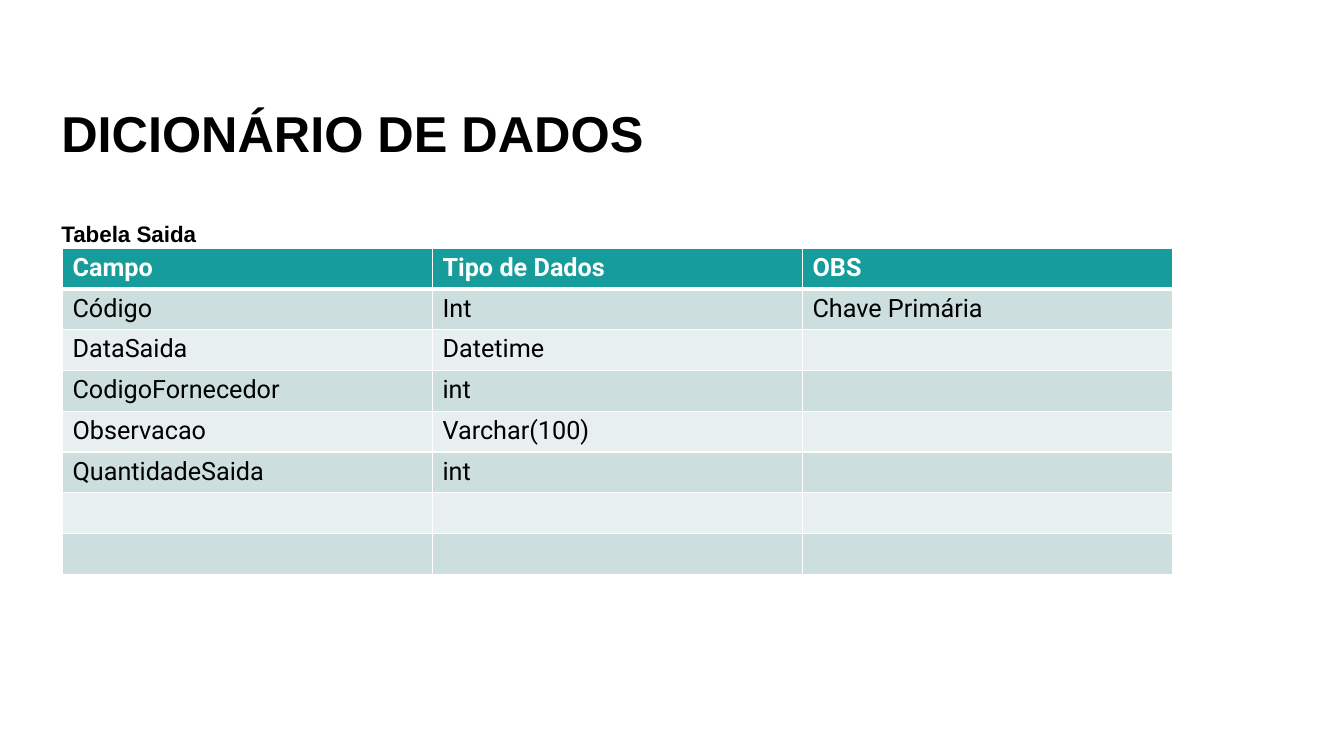
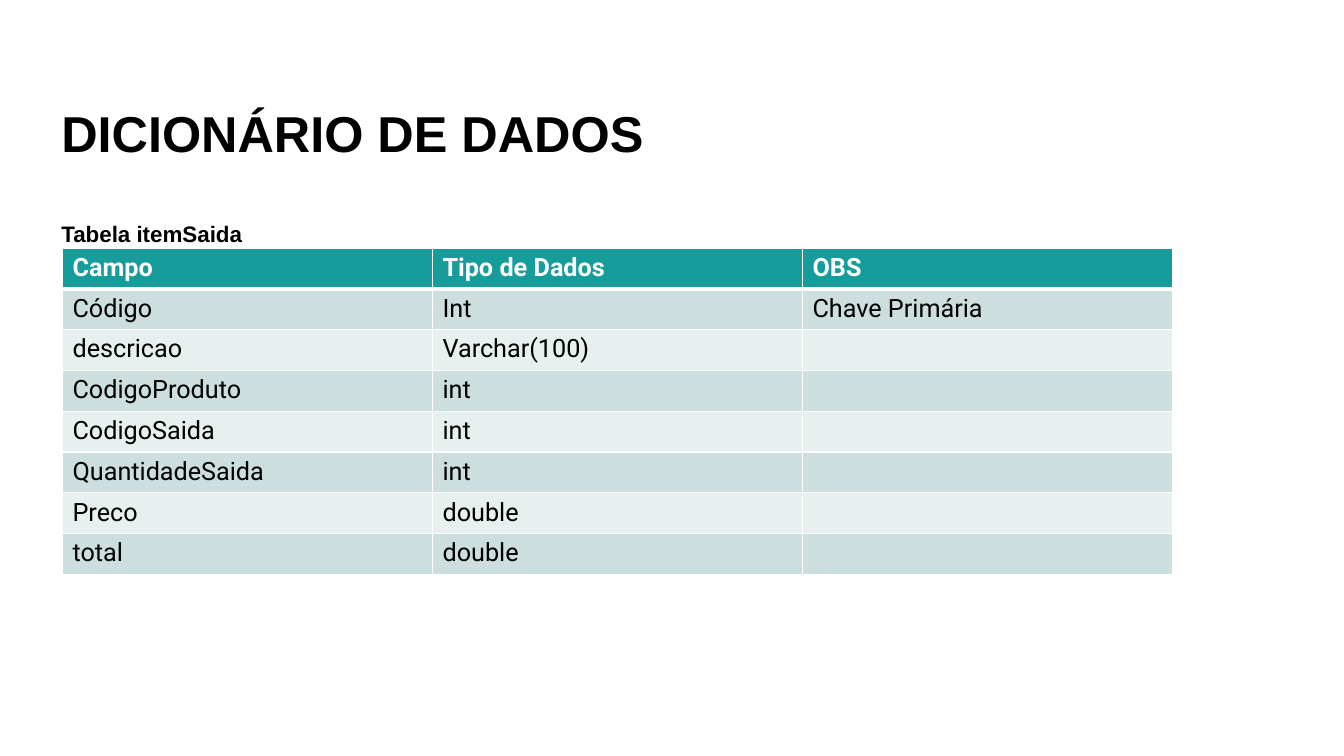
from dataclasses import dataclass

from lxml.etree import SubElement as Sub
from pptx import Presentation
from pptx.dml.color import RGBColor as Rgb
from pptx.enum.text import MSO_ANCHOR as Anchor
from pptx.oxml.ns import qn
from pptx.util import Inches, Pt


@dataclass(frozen=True)
class Theme:
    ink: str = "000000"
    paper: str = "FFFFFF"
    teal: str = "169C9A"
    bands: tuple = ("CCDEDE", "E8EFEF")
    head: str = "Arial"
    body: str = "Roboto"
    title: int = 36
    label: int = 16
    cell: int = 18
    thin: int = 1
    thick: int = 3


T = Theme()
WIDE, HIGH = 13.33, 7.5

# Regions: left, top, width, height in inches
TITLE = (0.51, 0, 11.5, 1.67)
LABEL = (0.51, 0.83, 11.5, 1.67)
GRID = (0.62, 2.46, 11.01, 3.24)

HEADS = ("Campo", "Tipo de Dados", "OBS")
KEY = ("Código", "Int", "Chave Primária")
COUNT = ("QuantidadeSaida", "int")
ROWS = 8

TABLES = {
    "Tabela Saida": (
        KEY,
        ("DataSaida", "Datetime"),
        ("CodigoFornecedor", "int"),
        ("Observacao", "Varchar(100)"),
        COUNT,
    ),
    "Tabela itemSaida": (
        KEY,
        ("descricao", "Varchar(100)"),
        ("CodigoProduto", "int"),
        ("CodigoSaida", "int"),
        COUNT,
        ("Preco", "double"),
        ("total", "double"),
    ),
}


def write(frame, text, *, size, font, color=T.ink, bold=False, line=None, before=None):
    """Put one formatted paragraph in a text frame."""
    para = frame.paragraphs[0]
    para.line_spacing = line
    para.space_before = before
    run = para.add_run()
    run.text = text
    run.font.name = font
    run.font.size = Pt(size)
    run.font.bold = bold
    run.font.color.rgb = Rgb.from_string(color)


def heading(slide, box, text, size):
    """Bold heading that rests on the bottom of its box."""
    frame = slide.shapes.add_textbox(*map(Inches, box)).text_frame
    frame.word_wrap = True
    frame.vertical_anchor = Anchor.BOTTOM
    write(frame, text, size=size, font=T.head, bold=True, line=0.9, before=Pt(25))


def border(cell, **sides):
    """Draw the cell's edges, each side given its width in points."""
    props = cell._tc.get_or_add_tcPr()
    for side, width in sides.items():
        edge = Sub(props, qn(f"a:ln{side}"), w=str(Pt(width)))
        fill = Sub(edge, qn("a:solidFill"))
        Sub(fill, qn("a:srgbClr"), val=T.paper)


def grid(slide, box, rows):
    """Banded table; rows are padded with blank cells to fill the box."""
    table = slide.shapes.add_table(ROWS, len(HEADS), *map(Inches, box)).table
    for col in table.columns:
        col.width = Inches(box[2] / len(HEADS))
    for row in table.rows:
        row.height = Inches(box[3] / ROWS)

    lines = (HEADS, *rows)
    for r in range(ROWS):
        top = r == 0
        words = lines[r] if r < len(lines) else ()
        for c in range(len(HEADS)):
            cell = table.cell(r, c)
            border(cell, L=T.thin, R=T.thin,
                   T=T.thick if r == 1 else T.thin,
                   B=T.thick if top else T.thin)
            cell.fill.solid()
            cell.fill.fore_color.rgb = Rgb.from_string(
                T.teal if top else T.bands[(r - 1) % 2])
            if c < len(words):
                write(cell.text_frame, words[c], size=T.cell, font=T.body,
                      color=T.paper if top else T.ink, bold=top)


def page(deck, label, rows):
    """One slide of the data dictionary."""
    slide = deck.slides.add_slide(deck.slide_layouts[6])
    heading(slide, TITLE, "DICIONÁRIO DE DADOS", T.title)
    grid(slide, GRID, rows)
    heading(slide, LABEL, label, T.label)


def main():
    deck = Presentation()
    deck.slide_width, deck.slide_height = Inches(WIDE), Inches(HIGH)
    for label, rows in TABLES.items():
        page(deck, label, rows)
    deck.save("out.pptx")


if __name__ == "__main__":
    main()
